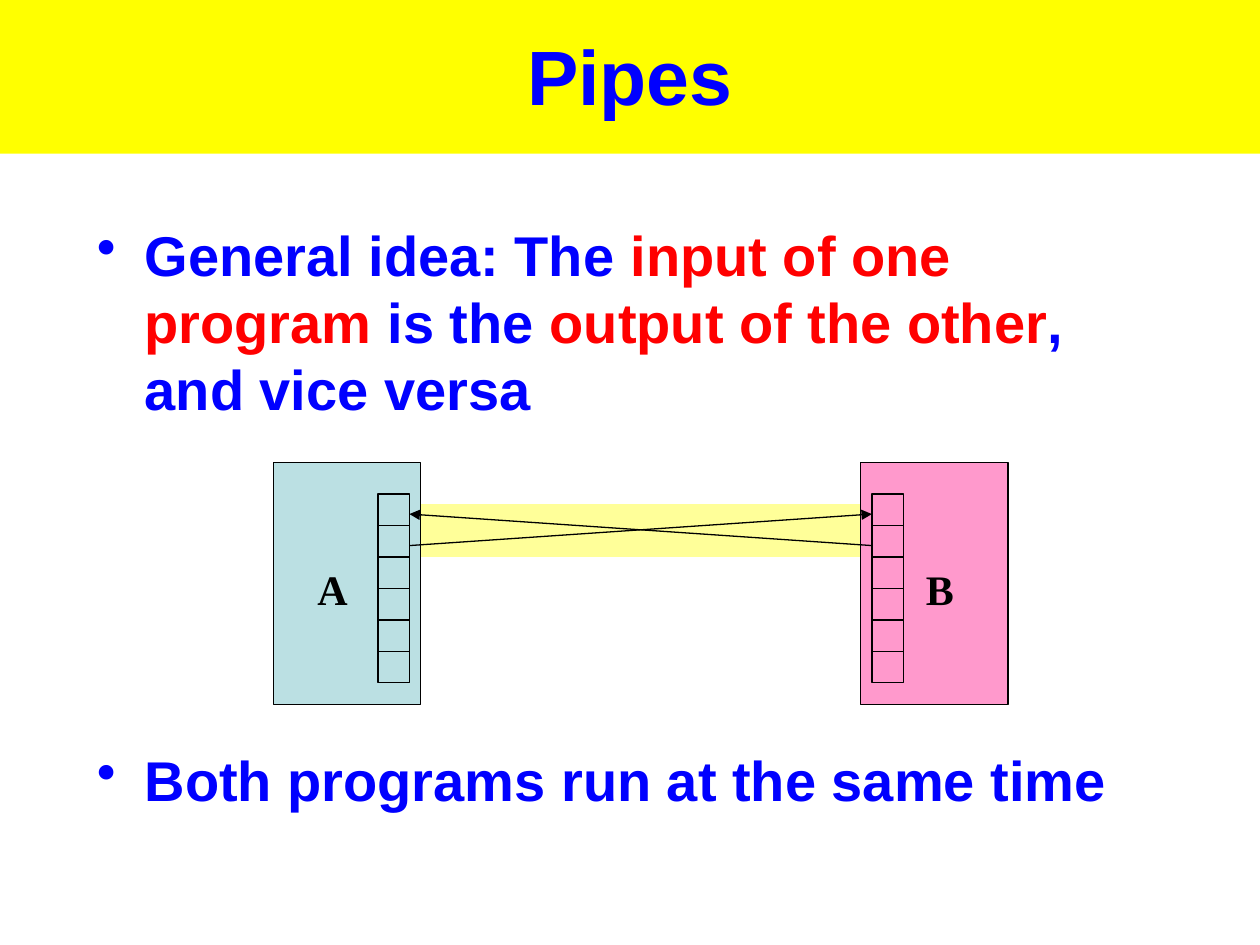
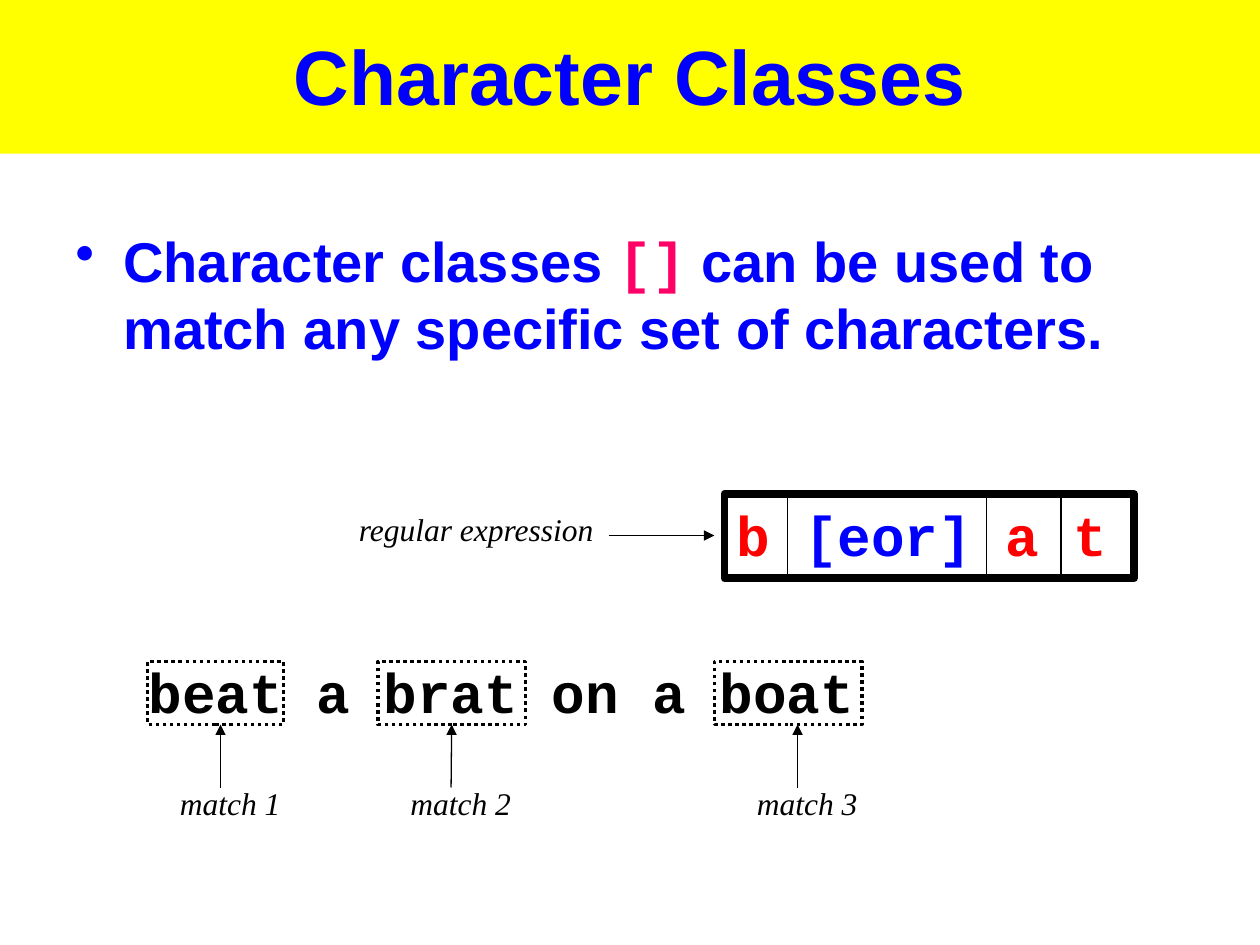
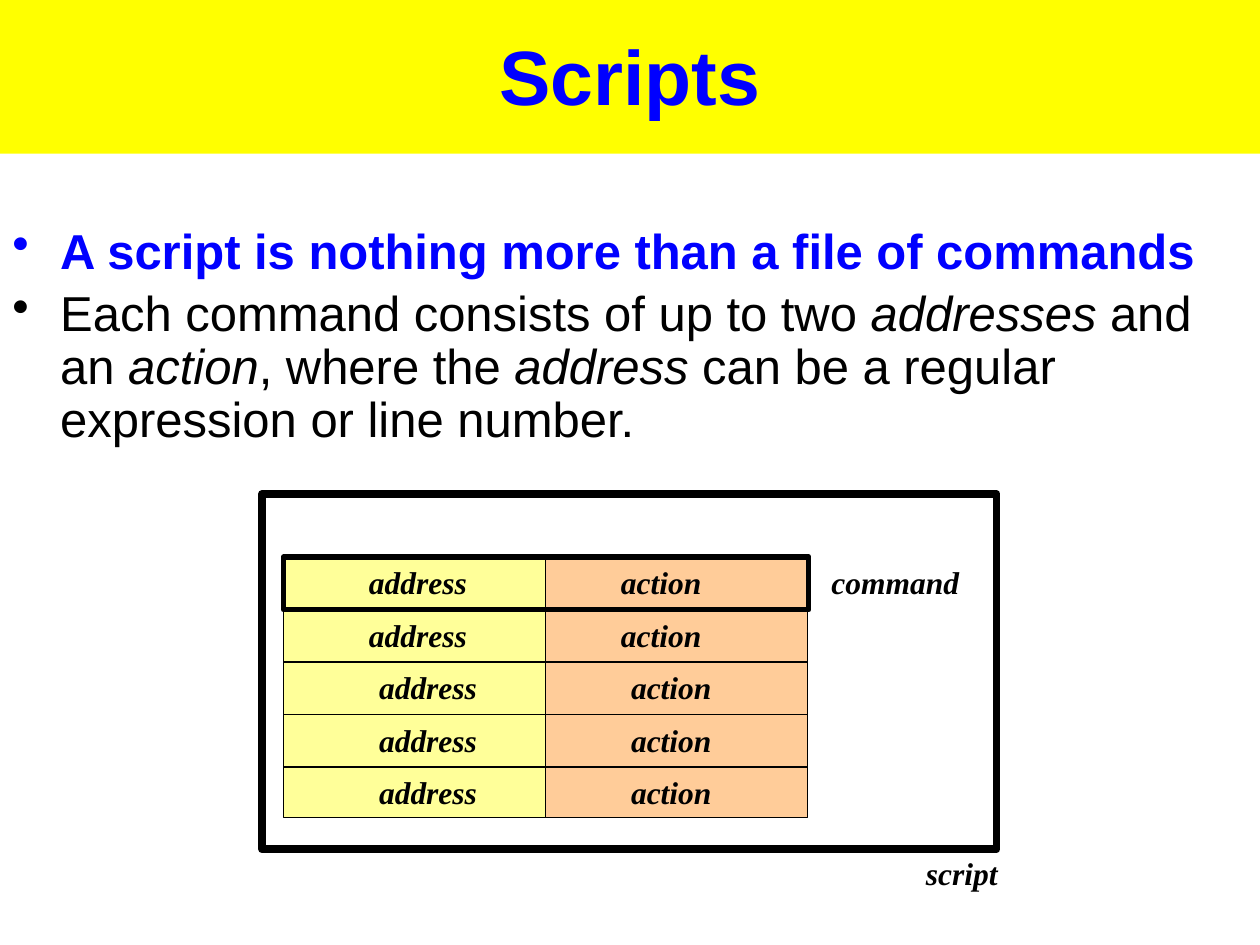
from pptx import Presentation
from pptx.dml.color import RGBColor
from pptx.enum.dml import MSO_LINE_DASH_STYLE as Dash
from pptx.enum.shapes import MSO_CONNECTOR_TYPE as Connector, MSO_SHAPE as Preset
from pptx.enum.text import MSO_ANCHOR as Anchor, PP_ALIGN as Align
from pptx.oxml.ns import qn
from pptx.util import Inches, Pt
from lxml.etree import SubElement

COLORS = {
    "black": "000000", "blue": "0000FF", "red": "FF0000", "pink": "FF0066",
    "band": "FFFF00", "pale_yellow": "FFFF99", "teal": "BBE0E3",
    "rose": "FF99CC", "orange": "FFCC99",
}
SANS, SERIF, MONO = "Arial", "Times New Roman", "Courier New"
HANGING = 0.38
BOTTOM, LEFT, RIGHT = 2, 1, 3


def color(name):
    return RGBColor.from_string(COLORS[name])


def add_run(paragraph, text, size, ink="black", face=SANS, bold=False, italic=False):
    run = paragraph.add_run()
    run.text = text
    font = run.font
    font.size, font.name, font.bold, font.italic = Pt(size), face, bold, italic
    font.color.rgb = color(ink)


def add_box(slide, left, top, width, height, fill=None, line=0.75, dash=None):
    shape = slide.shapes.add_shape(
        Preset.RECTANGLE, Inches(left), Inches(top), Inches(width), Inches(height))
    shape.shadow.inherit = False
    if fill:
        shape.fill.solid()
        shape.fill.fore_color.rgb = color(fill)
    else:
        shape.fill.background()
    if line:
        shape.line.color.rgb = color("black")
        shape.line.width = Pt(line)
        if dash:
            shape.line.dash_style = dash
    else:
        shape.line.fill.background()
    return shape


def add_line(slide, start, end, arrow=False):
    line = slide.shapes.add_connector(
        Connector.STRAIGHT, *(Inches(value) for value in (*start, *end)))
    line.line.color.rgb = color("black")
    line.line.width = Pt(0.75)
    if arrow:
        SubElement(line.line._get_or_add_ln(), qn("a:tailEnd"), type="triangle")
    SubElement(line._element.spPr, qn("a:effectLst"))
    return line


def add_ruled_box(slide, left, top, width, height, rows, step, fill=None):
    box = add_box(slide, left, top, width, height, fill)
    for row in range(1, rows):
        y = top + row * step
        line = add_line(slide, (left, y), (left + width, y))
        if abs(y - top - height / 2) < 0.01:
            line.begin_connect(box, LEFT)
            line.end_connect(box, RIGHT)


def add_text(slide, left, top, width, height, runs, wrap=True, **style):
    box = slide.shapes.add_textbox(
        Inches(left), Inches(top), Inches(width), Inches(height))
    box.text_frame.word_wrap = wrap
    for text, ink in runs:
        add_run(box.text_frame.paragraphs[0], text, ink=ink, **style)


def add_label(slide, left, top, width, text, bold=False, wrap=True):
    add_text(slide, left, top, width, 0.4, [(text, "black")], wrap,
             size=18, face=SERIF, bold=bold, italic=True)


def add_bullets(slide, left, top, width, height, size, items, gap, spacing=None):
    box = slide.shapes.add_textbox(
        Inches(left), Inches(top), Inches(width), Inches(height))
    frame = box.text_frame
    frame.word_wrap = True
    for index, runs in enumerate(items):
        paragraph = frame.add_paragraph() if index else frame.paragraphs[0]
        properties = paragraph._p.get_or_add_pPr()
        properties.set("marL", str(Inches(HANGING)))
        properties.set("indent", str(-Inches(HANGING)))
        SubElement(properties, qn("a:buChar"), char="•")
        if index:
            paragraph.space_before = Pt(gap)
        if spacing:
            paragraph.line_spacing = spacing
        for text, style in runs:
            add_run(paragraph, text, size, **style)


def add_titled_slide(presentation, title):
    slide = presentation.slides.add_slide(presentation.slide_layouts[6])
    band = add_box(slide, 0, -0.03, 10, 1.25, "band", line=None)
    frame = band.text_frame
    frame.word_wrap = True
    frame.vertical_anchor = Anchor.MIDDLE
    frame.paragraphs[0].alignment = Align.CENTER
    add_run(frame.paragraphs[0], title, 44, "blue", bold=True)
    return slide


BLUE = {"ink": "blue", "bold": True}
RED = {"ink": "red", "bold": True}
PLAIN = {}
ITALIC = {"italic": True}


def build_pipes(presentation):
    slide = add_titled_slide(presentation, "Pipes")
    add_box(slide, 3.33, 4, 3.5, 0.42, "pale_yellow", line=None)
    add_bullets(slide, 0.67, 1.7, 8.5, 5.05, 32, [
        [("General idea: The ", BLUE), ("input of one program", RED),
         (" is the ", BLUE), ("output of the other", RED),
         (", and vice versa", BLUE)],
        [("Both programs run at the same time", BLUE)],
    ], gap=185)
    programs = [("A", 2.17, 2.42, 3, "teal"), ("B", 6.83, 7.25, 6.92, "rose")]
    for name, left, name_left, slots_left, fill in programs:
        add_box(slide, left, 3.67, 1.17, 1.92, fill)
        add_text(slide, name_left, 4.42, 1.08, 0.5, [(name, "black")],
                 size=24, face=SERIF, bold=True)
        add_ruled_box(slide, slots_left, 3.92, 0.25, 1.5, rows=6, step=0.25)
    add_line(slide, (3.25, 4.33), (6.92, 4.08), arrow=True)
    add_line(slide, (6.92, 4.33), (3.25, 4.08), arrow=True)


def build_character_classes(presentation):
    slide = add_titled_slide(presentation, "Character Classes")
    add_bullets(slide, 0.5, 1.75, 9.38, 1.28, 32, [
        [("Character classes ", BLUE),
         ("[]", {"ink": "pink", "face": MONO, "bold": True}),
         (" can be used to match any specific set of characters.", BLUE)],
    ], gap=0)

    add_label(slide, 2.75, 4, 2.08, "regular expression", wrap=False)
    add_line(slide, (4.83, 4.25), (5.67, 4.25), arrow=True)
    add_box(slide, 5.75, 3.92, 3.25, 0.67, line=4.5)
    add_text(slide, 5.75, 3.92, 3.5, 0.63,
             [("b ", "red"), ("[eor]", "blue"), (" a t", "red")],
             size=32, face=MONO, bold=True)
    for x in (6.25, 7.83, 8.42):
        add_line(slide, (x, 3.92), (x, 4.58))

    add_text(slide, 1.08, 5.17, 6.75, 0.63, [("beat a brat on a boat", "black")],
             size=32, face=MONO, bold=True)
    matches = [(1.17, 1.08, 1.75), (3, 1.17, 3.58), (5.67, 1.17, 6.33)]
    for number, (left, width, arrow_x) in enumerate(matches, start=1):
        box = add_box(slide, left, 5.25, width, 0.5, line=2, dash=Dash.ROUND_DOT)
        add_label(slide, arrow_x - 0.42, 6.17, 1, f"match {number}", wrap=False)
        arrow = add_line(slide, (arrow_x, 6.25), (arrow_x, 5.75), arrow=True)
        if abs(left + width / 2 - arrow_x) < 0.01:
            arrow.end_connect(box, BOTTOM)


def build_scripts(presentation):
    slide = add_titled_slide(presentation, "Scripts")
    add_bullets(slide, 0, 1.75, 10, 1.92, 28, [
        [("A script is nothing more than a file of commands", BLUE)],
        [("Each command consists of up to two ", PLAIN), ("addresses", ITALIC),
         (" and an ", PLAIN), ("action", ITALIC), (", where the ", PLAIN),
         ("address", ITALIC),
         (" can be a regular expression or line number.", PLAIN)],
    ], gap=5.6, spacing=0.9)

    top, rows, row_height = 4.42, 5, 1.25 / 3
    columns = [("address", 2.25, 2.83, "pale_yellow"), ("action", 4.33, 4.83, "orange")]
    for name, left, name_left, fill in columns:
        add_ruled_box(slide, left, top, 2.08, 2.07, rows, row_height, fill)
        for row in range(rows):
            shift = 0.08 if row >= 2 else 0
            add_label(slide, name_left + shift, top + row * row_height, 1.08,
                      name, bold=True)
    add_box(slide, 2.25, top, 4.17, 0.42, line=3)
    add_label(slide, 6.5, top, 1.58, "command", bold=True)
    add_box(slide, 2.08, 3.92, 5.83, 2.82, line=4.5)
    add_label(slide, 7.25, 6.73, 0.83, "script", bold=True)


def main():
    presentation = Presentation()
    presentation.slide_width, presentation.slide_height = Inches(10), Inches(7.5)
    build_pipes(presentation)
    build_character_classes(presentation)
    build_scripts(presentation)
    presentation.save("out.pptx")


if __name__ == "__main__":
    main()
